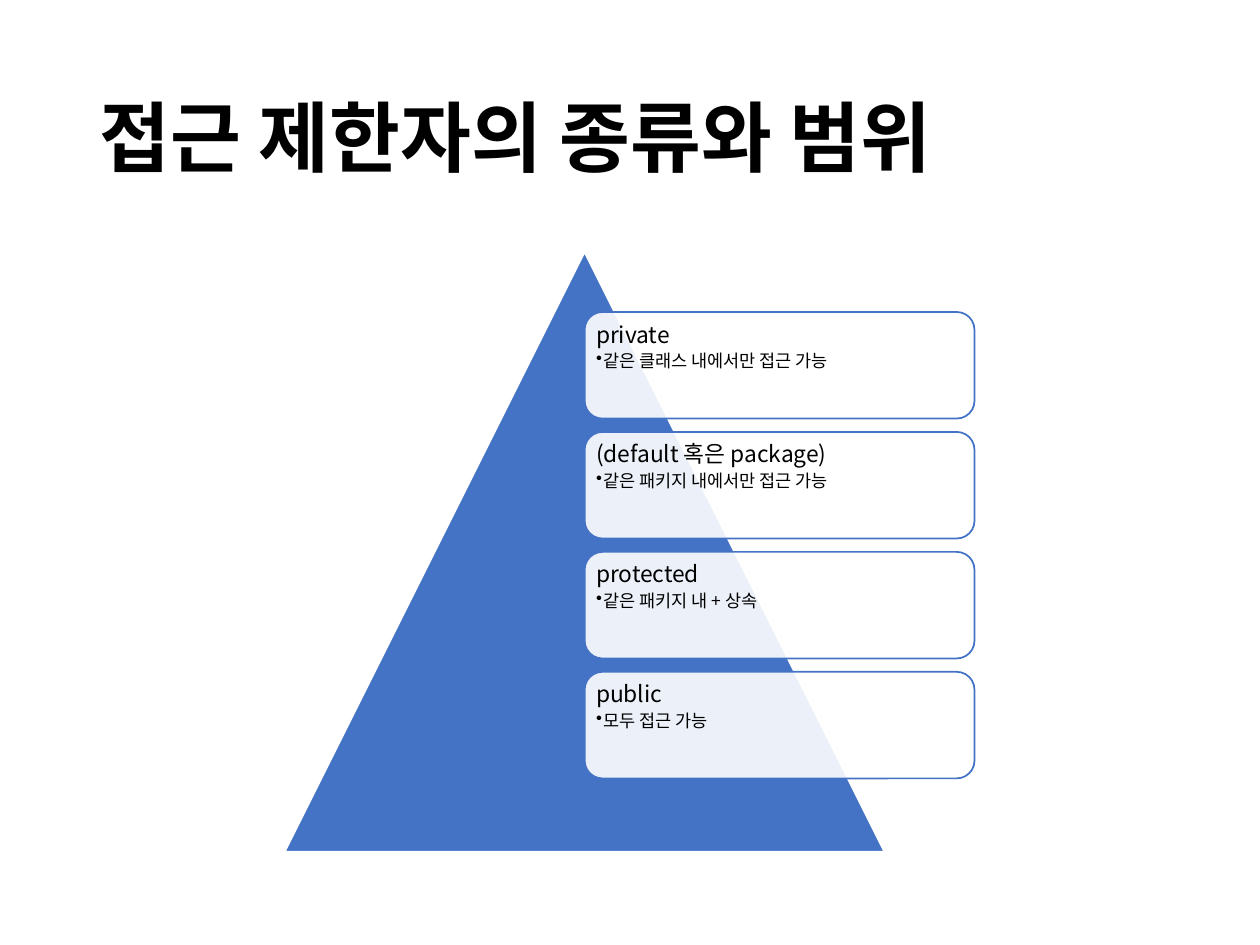
from dataclasses import dataclass

from lxml import etree
from pptx import Presentation
from pptx.dml.color import RGBColor
from pptx.enum import shapes, text
from pptx.oxml.ns import qn
from pptx.util import Inches, Pt


@dataclass(frozen=True)
class Theme:
    """Colours, typeface and type sizes."""
    font: str = "Noto Sans CJK KR"
    blue: RGBColor = RGBColor(0x44, 0x72, 0xC4)
    white: RGBColor = RGBColor(255, 255, 255)
    black: RGBColor = RGBColor(0, 0, 0)
    title_size: int = 44
    modifier_size: int = 13
    scope_size: int = 10


THEME = Theme()
TITLE = "접근 제한자의 종류와 범위"
MODIFIERS = [
    ("private", "같은 클래스 내에서만 접근 가능"),
    ("(default 혹은 package)", "같은 패키지 내에서만 접근 가능"),
    ("protected", "같은 패키지 내 + 상속"),
    ("public", "모두 접근 가능"),
]


def write_paragraph(paragraph, content, size, bold=False, space_after=0):
    """Fill a left-aligned paragraph and return its default run properties."""
    paragraph.text = content
    paragraph.alignment = text.PP_ALIGN.LEFT
    paragraph.line_spacing = 0.9
    paragraph.space_before = Pt(0)
    paragraph.space_after = Pt(space_after)
    font = paragraph.font
    font.size, font.bold, font.name = Pt(size), bold, THEME.font
    font.color.rgb = THEME.black
    defaults = paragraph._p.pPr.find(qn("a:defRPr"))
    etree.SubElement(defaults, qn("a:ea"), typeface=THEME.font)
    return defaults


def add_title(slide, left, top, width, height):
    """Place and format the title placeholder."""
    title = slide.shapes.title
    title.left, title.top = Inches(left), Inches(top)
    title.width, title.height = Inches(width), Inches(height)
    frame = title.text_frame
    frame.auto_size = text.MSO_AUTO_SIZE.NONE
    frame.vertical_anchor = text.MSO_ANCHOR.MIDDLE
    write_paragraph(frame.paragraphs[0], TITLE, THEME.title_size, bold=True)


def add_panel(slide, kind, left, top, width, height, fill, line):
    """Add a flat preset shape with a one-point outline."""
    panel = slide.shapes.add_shape(
        kind, Inches(left), Inches(top), Inches(width), Inches(height))
    panel.shadow.inherit = False
    panel.fill.solid()
    panel.fill.fore_color.rgb = fill
    panel.line.color.rgb = line
    panel.line.width = Pt(1)
    return panel


def add_modifier_card(slide, modifier, scope, left, top, width, height):
    """Add a translucent card naming a modifier and its scope."""
    card = add_panel(slide, shapes.MSO_SHAPE.ROUNDED_RECTANGLE,
                     left, top, width, height, THEME.white, THEME.blue)
    colour = card._element.spPr.find(qn("a:solidFill"))[0]
    etree.SubElement(colour, qn("a:alpha"), val="90000")
    frame = card.text_frame
    frame.word_wrap = True
    frame.vertical_anchor = text.MSO_ANCHOR.TOP
    frame.margin_left = frame.margin_right = Inches(0.05)
    frame.margin_top = frame.margin_bottom = Inches(0.05)
    write_paragraph(frame.paragraphs[0], modifier, THEME.modifier_size,
                    space_after=2.5)
    detail = frame.add_paragraph()
    detail.level = 1
    defaults = write_paragraph(detail, scope, THEME.scope_size, space_after=1.5)
    properties = detail._p.pPr
    properties.set("marL", str(Inches(0.06)))
    properties.set("indent", str(-Inches(0.06)))
    bullet = etree.Element(qn("a:buChar"), char="•")
    defaults.addprevious(bullet)


def add_pyramid_list(slide, left, top, size):
    """Add the pyramid with equal cards stacked from its centre line."""
    add_panel(slide, shapes.MSO_SHAPE.ISOSCELES_TRIANGLE,
              left, top, size, size, THEME.blue, THEME.white)
    card_width, card_height = size * 0.65, size * 0.8 / 4.5
    pitch = card_height * 1.125
    for row, (modifier, scope) in enumerate(MODIFIERS):
        add_modifier_card(slide, modifier, scope, left + size / 2,
                          top + size * 0.1 + row * pitch,
                          card_width, card_height)


def main():
    """Build and save the slide."""
    deck = Presentation()
    deck.slide_width, deck.slide_height = Inches(10), Inches(7.5)
    slide = deck.slides.add_slide(deck.slide_layouts[5])
    add_title(slide, 0.69, 0.4, 8.62, 1.45)
    add_pyramid_list(slide, 2.26, 2, 4.76)
    deck.save("out.pptx")


if __name__ == "__main__":
    main()
